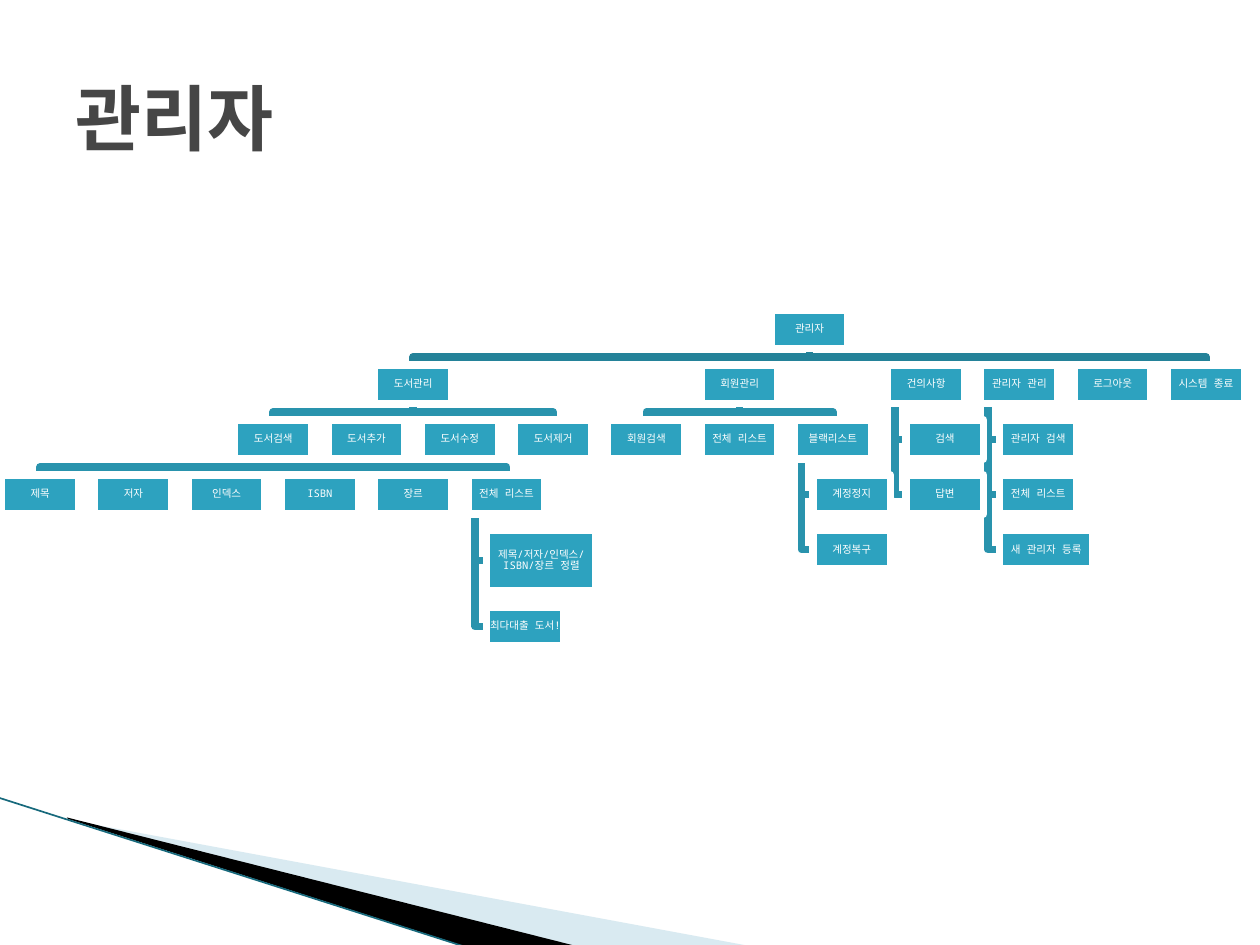
from dataclasses import dataclass, field
from lxml.etree import SubElement as Sub
from pptx import Presentation as Deck
from pptx.dml.color import RGBColor as Rgb
from pptx.enum.shapes import MSO_CONNECTOR as Wire, MSO_SHAPE as Kind
from pptx.enum.text import MSO_ANCHOR as Anchor, PP_ALIGN as Align
from pptx.oxml.ns import qn
from pptx.util import Cm, Pt


@dataclass(frozen=True)
class Theme:
    font: str = "Noto Sans Mono"
    head: str = "464646"
    box: str = "2DA2BF"
    white: str = "FFFFFF"
    trunk: str = "248299"
    branch: str = "2993AD"
    pale: str = "A0CBDC"
    black: str = "000000"
    edge: str = "17697C"
    big: float = 41
    small: float = 6
    thick: float = 4.33
    thin: float = 0.95


@dataclass
class Node:
    text: str
    col: float = 0
    kids: list = field(default_factory=list)
    hang: bool = False
    wide: float = 1.56
    high: float = 0.78


LOOK = Theme()
LEFT, TOP = 0.03, 6.25
STEP, GAP = 1.88, 0.33
INDENT, STEM = 0.38, 0.15


def row(first, *names):
    return [Node(name, first + i) for i, name in enumerate(names)]


def hang(text, col, *kids):
    return Node(text, col, [Node(k) if isinstance(k, str) else k for k in kids], True)


def tree():
    sort = hang("전체 리스트", 5,
                Node("제목/저자/인덱스/ISBN/장르 정렬", wide=2.21, high=1.22),
                "최다대출 도서!")
    find = Node("도서검색", 2.5,
                row(0, "제목", "저자", "인덱스", "ISBN", "장르") + [sort])
    books = Node("도서관리", 4,
                 [find] + row(3.5, "도서추가", "도서수정", "도서제거"))
    users = Node("회원관리", 7.5,
                 row(6.5, "회원검색", "전체 리스트")
                 + [hang("블랙리스트", 8.5, "계정정지", "계정복구")])
    ideas = hang("건의사항", 9.5, "검색", "답변")
    staff = hang("관리자 관리", 10.5, "관리자 검색", "전체 리스트",
                 Node("새 관리자 등록", wide=1.88))
    return Node("관리자", 8.25,
                [books, users, ideas, staff] + row(11.5, "로그아웃", "시스템 종료"))


def put(item, **vals):
    for name, val in vals.items():
        setattr(item, name, val)


def paint(item, tone):
    item.solid()
    item.fore_color.rgb = Rgb.from_string(tone)


def stroke(shape, tone, size):
    paint(shape.line.fill, tone)
    shape.line.width = Pt(size)


def write(frame, text, tone, size, bold, align, **vals):
    put(frame, word_wrap=True, vertical_anchor=Anchor.MIDDLE, **vals)
    para = frame.paragraphs[0]
    para.alignment = align
    run = para.add_run()
    run.text = text
    put(run.font, name=LOOK.font, size=Pt(size), bold=bold)
    run.font.color.rgb = Rgb.from_string(tone)
    Sub(run.font._element, qn("a:ea"), typeface=LOOK.font)
    return para


def line(shapes, start, end, tone, size):
    wire = shapes.add_connector(Wire.STRAIGHT, *map(Cm, start + end))
    stroke(wire, tone, size)
    Sub(wire._element.spPr, qn("a:effectLst"))


def form(shapes, spots, close):
    spots = [(Cm(x), Cm(y)) for x, y in spots]
    pen = shapes.build_freeform(*spots[0], scale=1.0)
    pen.add_line_segments(spots[1:], close=close)
    shape = pen.convert_to_shape()
    shape.shadow.inherit = False
    return shape


def wedge(shapes, spots, tone, alpha=None):
    shape = form(shapes, spots, True)
    paint(shape.fill, tone)
    shape.line.fill.background()
    if alpha:
        hue = next(shape._element.spPr.iter(qn("a:srgbClr")))
        Sub(hue, qn("a:alpha"), val=str(alpha * 1000))


def bend(shapes, spots, tone):
    if spots[0][0] == spots[-1][0]:
        line(shapes, spots[0], spots[-1], tone, LOOK.thick)
        return
    shape = form(shapes, spots, False)
    shape.fill.background()
    stroke(shape, tone, LOOK.thick)


def box(shapes, node, x, y):
    shape = shapes.add_shape(Kind.RECTANGLE, *map(Cm, (x, y, node.wide, node.high)))
    shape.shadow.inherit = False
    paint(shape.fill, LOOK.box)
    stroke(shape, LOOK.white, LOOK.thick)
    para = write(shape.text_frame, node.text, LOOK.white, LOOK.small, False,
                 Align.CENTER, margin_left=0, margin_right=0,
                 margin_top=0, margin_bottom=0)
    para.line_spacing = 0.9


def grow(shapes, node, x, y, tone, cells):
    cells.append((node, x, y))
    base = y + node.high
    mid, low = x + node.wide / 2, base + GAP
    for kid in node.kids:
        if node.hang:
            left, stem = x + INDENT, x + STEM
            half = low + kid.high / 2
            spots = [(stem, base), (stem, half), (left, half)]
        else:
            left = LEFT + kid.col * STEP
            end, bar = left + kid.wide / 2, base + GAP / 2
            spots = [(mid, base), (mid, bar), (end, bar), (end, low)]
        bend(shapes, spots, tone)
        grow(shapes, kid, left, low, LOOK.branch, cells)
        if node.hang:
            low += kid.high + GAP


def chart(shapes):
    root, cells = tree(), []
    grow(shapes, root, LEFT + root.col * STEP, TOP, LOOK.trunk, cells)
    for cell in cells:
        box(shapes, *cell)


def decor(shapes):
    wedge(shapes, [(1.4, 16.53), (15.11, 19.07), (11.58, 19.07), (1.4, 16.51)],
          LOOK.pale, 40)
    wedge(shapes, [(1.35, 16.48), (11.61, 19.07), (9.45, 19.1), (1.37, 16.51)],
          LOOK.black)
    line(shapes, (-0.03, 16.08), (9.42, 19.1), LOOK.edge, LOOK.thin)


def title(slide, text):
    head = slide.shapes.title
    put(head, left=Cm(1.27), top=Cm(0.76), width=Cm(22.86), height=Cm(3.18))
    write(head.text_frame, text, LOOK.head, LOOK.big, True, Align.LEFT)


def main():
    deck = Deck()
    put(deck, slide_width=Cm(25.4), slide_height=Cm(19.05))
    slide = deck.slides.add_slide(deck.slide_layouts[5])
    decor(slide.shapes)
    title(slide, "관리자")
    chart(slide.shapes)
    deck.save("out.pptx")


main()
